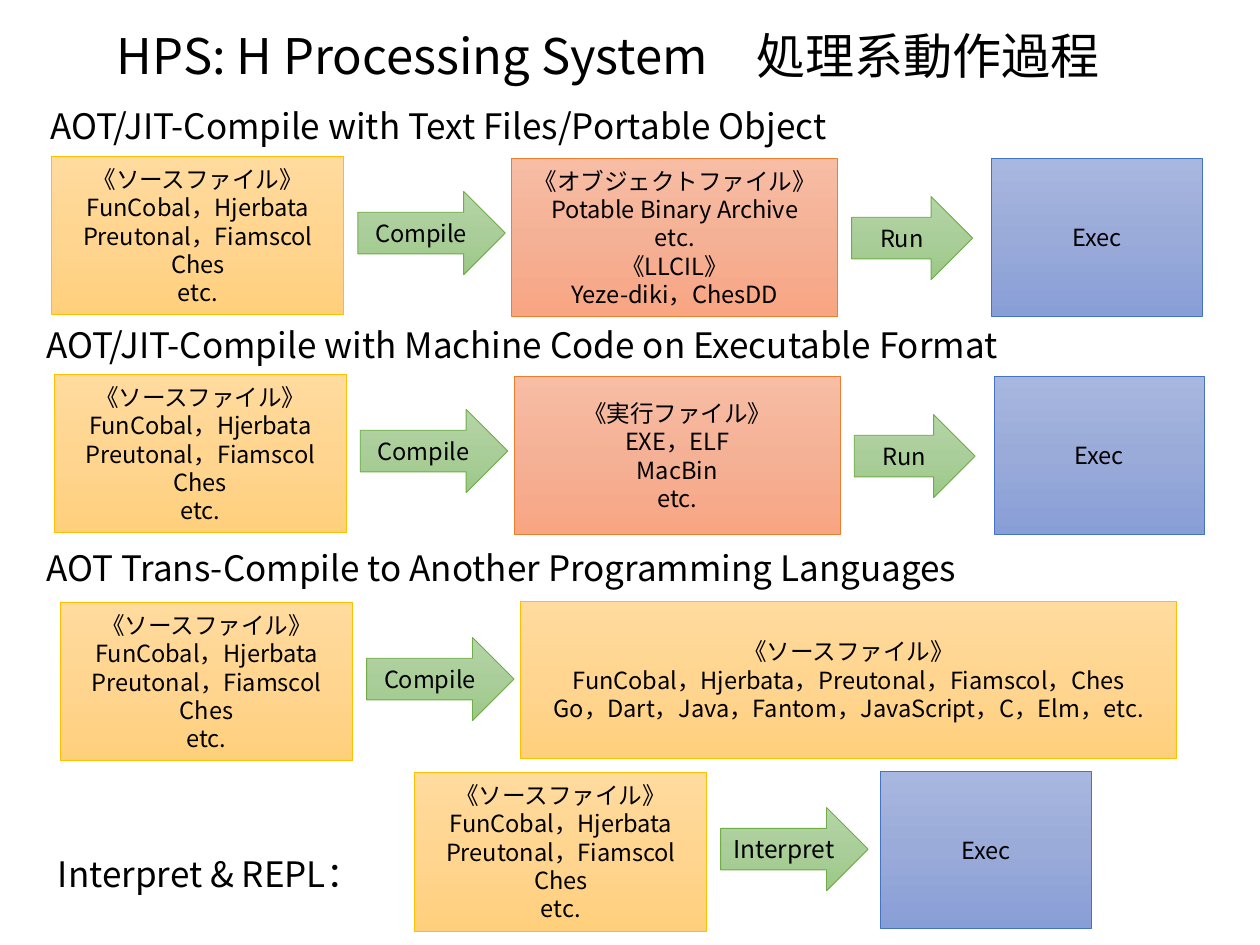
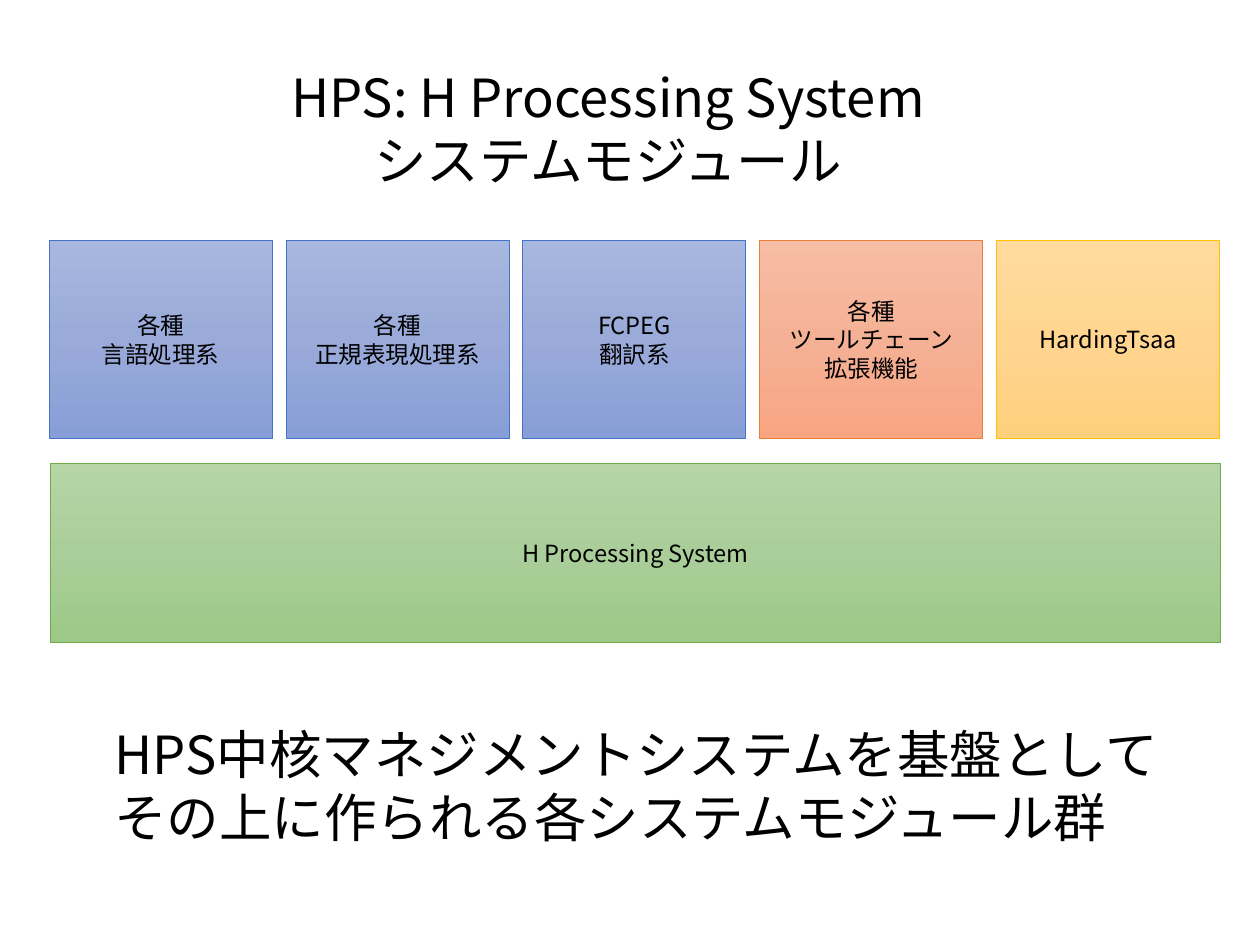
from copy import deepcopy
from dataclasses import dataclass

from lxml.etree import SubElement
from pptx import Presentation
from pptx.dml.color import RGBColor
from pptx.enum.shapes import MSO_SHAPE
from pptx.enum.text import MSO_ANCHOR, MSO_AUTO_SIZE, PP_ALIGN
from pptx.oxml.ns import qn
from pptx.shapes.autoshape import Shape
from pptx.slide import Slide
from pptx.util import Inches, Pt

FONT_NAME = "Noto Sans CJK JP"
BLACK = RGBColor(0x00, 0x00, 0x00)
BODY_SIZE = 13.5
HEADING_SIZE = 20


@dataclass(frozen=True)
class Palette:
    """Colours of a gradient, from top to bottom, and of the outline."""
    top: RGBColor
    middle: RGBColor
    bottom: RGBColor
    outline: RGBColor


BLUE = Palette(RGBColor(0xA8, 0xB7, 0xDF), RGBColor(0x9A, 0xAB, 0xD9),
               RGBColor(0x88, 0x9E, 0xD7), RGBColor(0x44, 0x72, 0xC4))
ORANGE = Palette(RGBColor(0xF7, 0xBD, 0xA5), RGBColor(0xF5, 0xB1, 0x96),
                 RGBColor(0xF8, 0xA5, 0x82), RGBColor(0xED, 0x7D, 0x31))
YELLOW = Palette(RGBColor(0xFF, 0xDB, 0x9E), RGBColor(0xFF, 0xD5, 0x90),
                 RGBColor(0xFF, 0xD0, 0x7C), RGBColor(0xFF, 0xC0, 0x00))
GREEN = Palette(RGBColor(0xB5, 0xD5, 0xA7), RGBColor(0xAA, 0xCE, 0x9A),
                RGBColor(0x9C, 0xC9, 0x87), RGBColor(0x70, 0xAD, 0x47))


@dataclass(frozen=True)
class Area:
    left: float
    top: float
    width: float
    height: float

    def shifted(self, right: float, down: float) -> "Area":
        return Area(self.left + right, self.top + down, self.width, self.height)

    def lengths(self) -> tuple[int, ...]:
        return tuple(Inches(value) for value in
                     (self.left, self.top, self.width, self.height))


@dataclass(frozen=True)
class Block:
    """A filled shape with centred text."""
    area: Area
    palette: Palette
    text: str
    preset: MSO_SHAPE = MSO_SHAPE.RECTANGLE
    size: float = BODY_SIZE


@dataclass(frozen=True)
class Label:
    area: Area
    text: str
    size: float = HEADING_SIZE
    wrap: bool = True
    align: PP_ALIGN = PP_ALIGN.LEFT


SOURCE_TEXT = "《ソースファイル》\nFunCobal，Hjerbata\nPreutonal，Fiamscol\nChes\netc."
OBJECT_TEXT = ("《オブジェクトファイル》\nPotable Binary Archive\netc.\n"
               "《LLCIL》\nYeze-diki，ChesDD")
EXECUTABLE_TEXT = "《実行ファイル》\nEXE，ELF\nMacBin\netc."
TRANSPILED_TEXT = ("《ソースファイル》\nFunCobal，Hjerbata，Preutonal，Fiamscol，Ches\n"
                   "Go，Dart，Java，Fantom，JavaScript，C，Elm，etc.")

# Places within a process row, measured from its top left corner.
SOURCE_AREA = Area(0, 0, 2.32, 1.26)
FIRST_ARROW_AREA = Area(2.43, 0.28, 1.17, 0.66)
TARGET_AREA = Area(3.65, 0.02, 2.59, 1.25)
TRANSPILED_AREA = Area(3.65, -0.01, 5.21, 1.25)
RUN_ARROW_AREA = Area(6.35, 0.32, 0.96, 0.66)
EXEC_AREA = Area(7.46, 0.02, 1.67, 1.25)
INTERPRETED_EXEC_AREA = Area(3.7, -0.01, 1.67, 1.25)


def arrow(area: Area, text: str, size: float = BODY_SIZE) -> Block:
    return Block(area, GREEN, text, MSO_SHAPE.RIGHT_ARROW, size)


@dataclass(frozen=True)
class ProcessRow:
    left: float
    top: float
    heading: Label
    steps: tuple[Block, ...]


SOURCE = Block(SOURCE_AREA, YELLOW, SOURCE_TEXT)
COMPILE = arrow(FIRST_ARROW_AREA, "Compile")
RUN_AND_EXEC = (arrow(RUN_ARROW_AREA, "Run"), Block(EXEC_AREA, BLUE, "Exec"))

PROCESS_ROWS = (
    ProcessRow(0.41, 1.24,
               Label(Area(0.3, 0.78, 7.07, 0.44),
                     "AOT/JIT-Compile with Text Files/Portable Object"),
               (SOURCE, COMPILE, Block(TARGET_AREA, ORANGE, OBJECT_TEXT),
                *RUN_AND_EXEC)),
    ProcessRow(0.43, 2.97,
               Label(Area(0.27, 2.52, 8.92, 0.44),
                     "AOT/JIT-Compile with Machine Code on Executable Format"),
               (SOURCE, COMPILE, Block(TARGET_AREA, ORANGE, EXECUTABLE_TEXT),
                *RUN_AND_EXEC)),
    ProcessRow(0.48, 4.78,
               Label(Area(0.27, 4.29, 7.54, 0.44),
                     "AOT Trans-Compile to Another Programming Languages"),
               (SOURCE, COMPILE, Block(TRANSPILED_AREA, YELLOW, TRANSPILED_TEXT))),
    ProcessRow(3.29, 6.13,
               Label(Area(0.36, 6.72, 2.85, 0.44), "Interpret & REPL："),
               (SOURCE, arrow(FIRST_ARROW_AREA, "Interpret", 14),
                Block(INTERPRETED_EXEC_AREA, BLUE, "Exec"))),
)

MODULES = (
    (BLUE, "各種\n言語処理系"),
    (BLUE, "各種\n正規表現処理系"),
    (BLUE, "FCPEG\n翻訳系"),
    (ORANGE, "各種\nツールチェーン\n拡張機能"),
    (YELLOW, "HardingTsaa"),
)
MODULE_AREA = Area(0.39, 1.91, 1.77, 1.57)
MODULE_STEP = 1.88


def write_text(shape: Shape, text: str, size: float, align: PP_ALIGN) -> None:
    frame = shape.text_frame
    frame.text = text
    for paragraph in frame.paragraphs:
        paragraph.alignment = align
        font = paragraph.font
        font.name = FONT_NAME
        font.size = Pt(size)
        font.color.rgb = BLACK
        properties = paragraph._p.pPr.find(qn("a:defRPr"))
        SubElement(properties, qn("a:ea"), typeface=FONT_NAME)


def fill_gradient(shape: Shape, palette: Palette) -> None:
    """Fill from top to bottom, with a third stop halfway."""
    fill = shape.fill
    fill.gradient()
    fill.gradient_angle = 270
    first_stop = next(shape._element.spPr.iter(qn("a:gs")))
    first_stop.addnext(deepcopy(first_stop))
    colors = (palette.top, palette.middle, palette.bottom)
    for stop, position, color in zip(fill.gradient_stops, (0, 0.5, 1), colors):
        stop.position = position
        stop.color.rgb = color


def draw_block(page: Slide, block: Block, left: float = 0, top: float = 0) -> None:
    area = block.area.shifted(left, top)
    shape = page.shapes.add_shape(block.preset, *area.lengths())
    shape.shadow.inherit = False
    fill_gradient(shape, block.palette)
    shape.line.color.rgb = block.palette.outline
    shape.line.width = Pt(0.5)
    frame = shape.text_frame
    frame.word_wrap = True
    frame.vertical_anchor = MSO_ANCHOR.MIDDLE
    if block.preset == MSO_SHAPE.RIGHT_ARROW:
        frame.margin_left = frame.margin_right = Inches(0.05)
    write_text(shape, block.text, block.size, PP_ALIGN.CENTER)


def draw_label(page: Slide, label: Label) -> None:
    box = page.shapes.add_textbox(*label.area.lengths())
    box.text_frame.word_wrap = label.wrap
    box.text_frame.auto_size = MSO_AUTO_SIZE.SHAPE_TO_FIT_TEXT
    write_text(box, label.text, label.size, label.align)


def draw_process_slide(page: Slide) -> None:
    draw_label(page, Label(Area(0.83, 0.15, 8.21, 0.57),
                           "HPS: H Processing System　処理系動作過程", 28, wrap=False))
    for row in PROCESS_ROWS:
        draw_label(page, row.heading)
        for step in row.steps:
            draw_block(page, step, row.left, row.top)


def draw_module_slide(page: Slide) -> None:
    draw_label(page, Label(Area(2.12, 0.47, 5.41, 1.11),
                           "HPS: H Processing System\nシステムモジュール", 30,
                           wrap=False, align=PP_ALIGN.CENTER))
    for index, (palette, text) in enumerate(MODULES):
        draw_block(page, Block(MODULE_AREA, palette, text), index * MODULE_STEP)
    draw_block(page, Block(Area(0.4, 3.68, 9.29, 1.42), GREEN, "H Processing System"))
    draw_label(page, Label(
        Area(0.81, 5.68, 8.71, 1.11),
        "HPS中核マネジメントシステムを基盤としてその上に作られる各システムモジュール群", 30))


def main() -> None:
    deck = Presentation()
    deck.slide_width = Inches(10)
    deck.slide_height = Inches(7.5)
    blank_layout = deck.slide_layouts[6]
    for draw_slide in (draw_process_slide, draw_module_slide):
        draw_slide(deck.slides.add_slide(blank_layout))
    deck.save("out.pptx")


if __name__ == "__main__":
    main()
